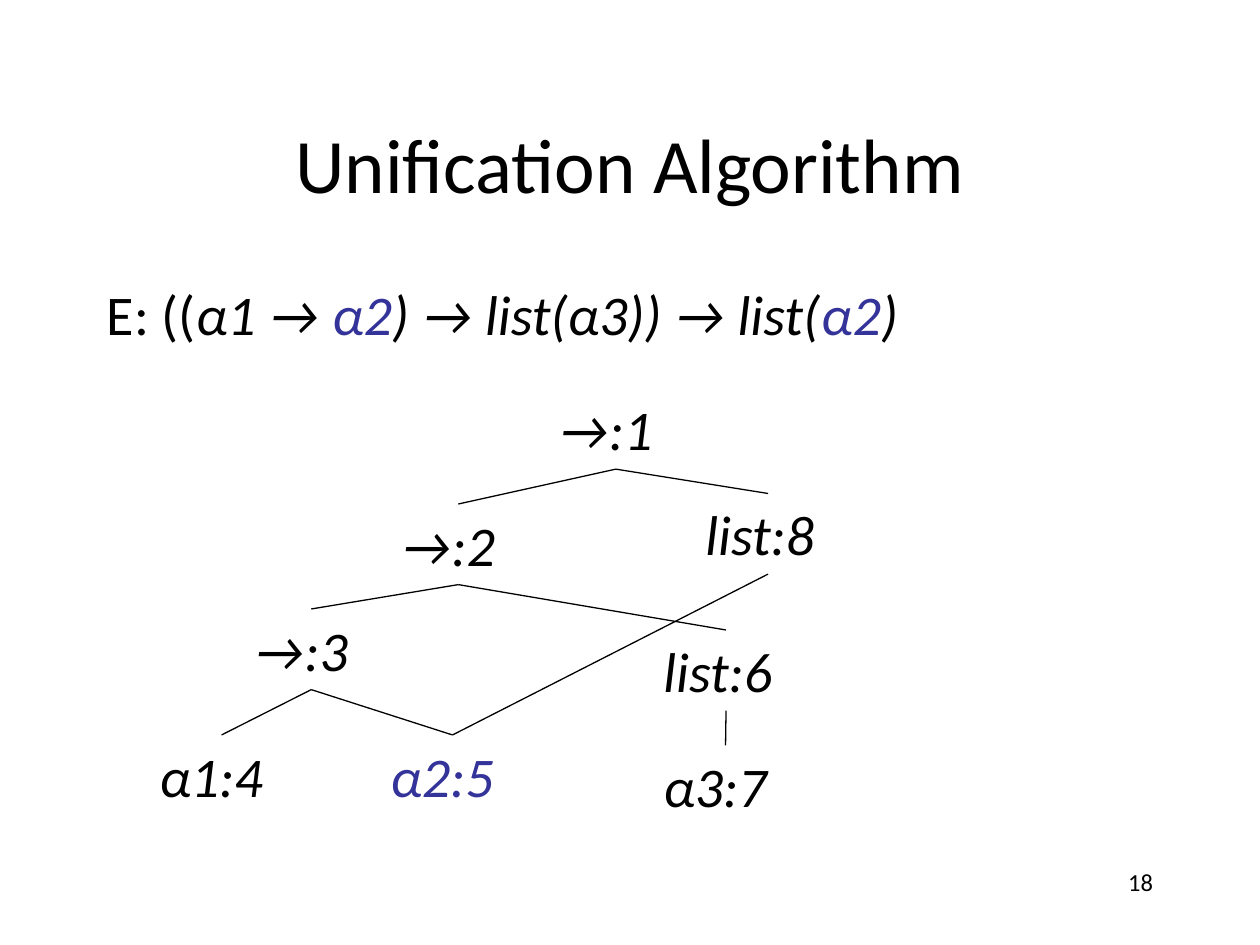
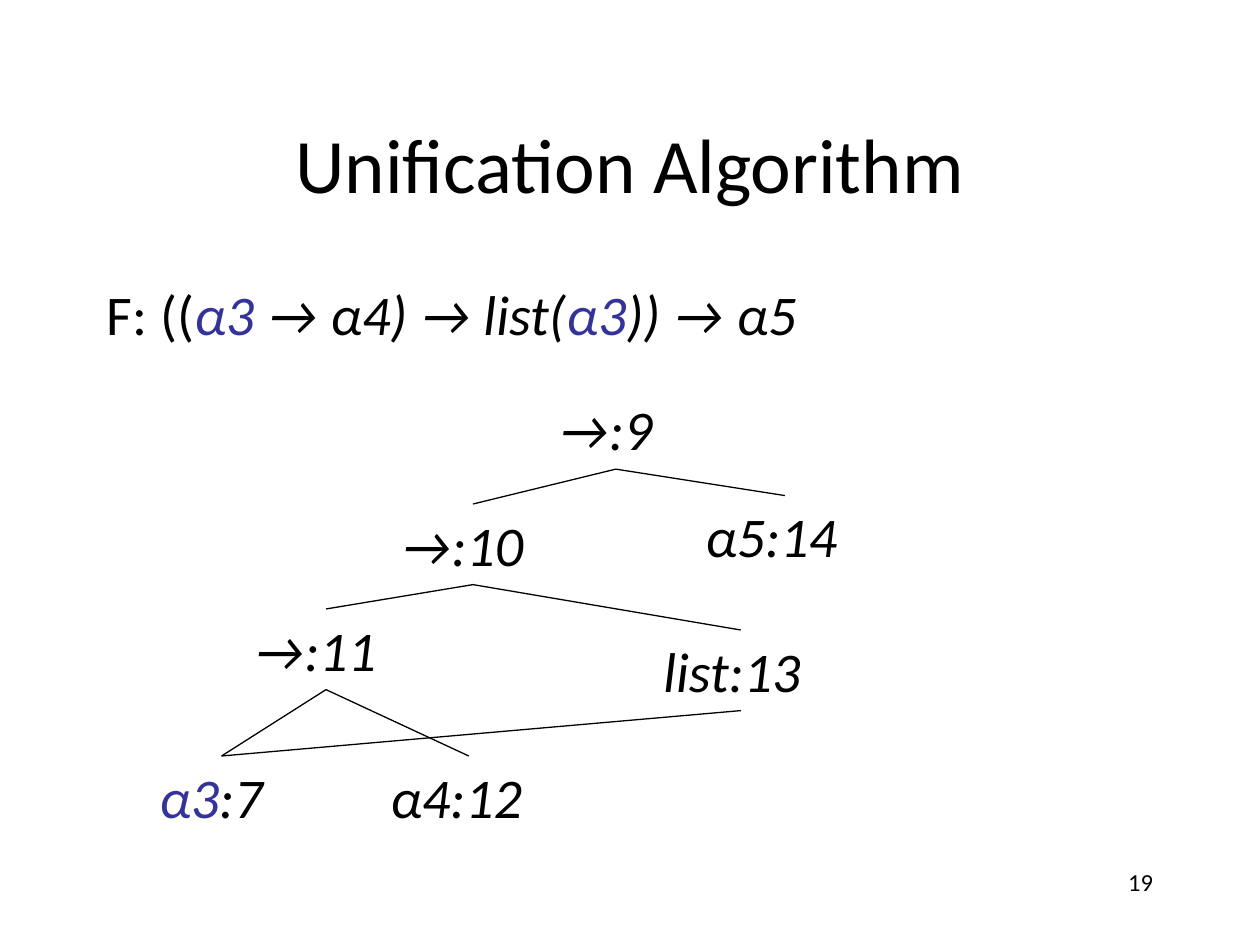
from pptx import Presentation
from pptx.dml.color import RGBColor
from pptx.enum.shapes import MSO_CONNECTOR
from pptx.enum.text import MSO_ANCHOR, MSO_AUTO_SIZE, PP_ALIGN
from pptx.oxml.ns import qn
from pptx.util import Inches, Pt
from lxml import etree

STRAIGHT = MSO_CONNECTOR.STRAIGHT
MIDDLE = MSO_ANCHOR.MIDDLE
GROW = MSO_AUTO_SIZE.SHAPE_TO_FIT_TEXT
CENTER, RIGHT = PP_ALIGN.CENTER, PP_ALIGN.RIGHT
TOP, BOTTOM = 0, 2  # connection sites
TITLE_ONLY = 5

# Shared style: the grid has 120 columns and 90 rows
WIDTH, HEIGHT = Inches(10), Inches(7.5)
COLS, ROWS = 120, 90
FONT, BLACK, BLUE = "Calibri", "000000", "333399"
TITLE_SIZE, TEXT_SIZE, NUMBER_SIZE = 44, 32, 14
TITLE_BOX = (9, 8, 102, 15)
TYPE_BOX = (9, 26, 103, 8)
NUMBER_BOX = (86, 82, 25, 6)
NODE_HEIGHT = 7.68

# Type expressions: runs of (text, colour, italic)
TYPE_E = [("E: ((", BLACK, False), ("α1 → ", BLACK, True), ("α2", BLUE, True),
          (") → list(α3)) → list(", BLACK, True), ("α2", BLUE, True),
          (")", BLACK, True)]
TYPE_F = [("F: ((", BLACK, False), ("α3 ", BLUE, True),
          ("→ α4) → list(", BLACK, True), ("α3", BLUE, True),
          (")) → α5", BLACK, True)]

# Graph nodes: number -> (symbol, column, row, width, symbol colour, number colour)
NODES_E = {
    1: ("→", 52, 37, 13.3, BLACK, BLACK),
    2: ("→", 37, 48, 13.3, BLACK, BLACK),
    8: ("list", 66, 47, 14.3, BLACK, BLACK),
    3: ("→", 23, 58, 13.3, BLACK, BLACK),
    4: ("α1", 14, 70, 14.2, BLACK, BLACK),
    5: ("α2", 36, 70, 14.2, BLUE, BLUE),
    7: ("α3", 62, 71, 14.2, BLACK, BLACK),
    6: ("list", 62, 60, 14.3, BLACK, BLACK),
}
EDGES_E = [(1, 2), (1, 8), (2, 3), (2, 6), (3, 4), (3, 5), (8, 5), (6, 7)]

NODES_F = {
    9: ("→", 52, 37, 13.3, BLACK, BLACK),
    10: ("→", 37, 48, 16.1, BLACK, BLACK),
    14: ("α5", 66, 47.2, 17.5, BLACK, BLACK),
    11: ("→", 23, 58, 16.1, BLACK, BLACK),
    7: ("α3", 14, 72, 14.2, BLUE, BLACK),
    12: ("α4", 36, 72, 17.3, BLACK, BLACK),
    13: ("list", 62, 60, 17.1, BLACK, BLACK),
}
EDGES_F = [(9, 10), (9, 14), (10, 11), (10, 13), (11, 7), (11, 12), (13, 7)]


def rgb(color):
    return RGBColor.from_string(color)


def grid(col, row, width, height):
    """Turn grid cells into left, top, width and height."""
    x, y = WIDTH / COLS, HEIGHT / ROWS
    return int(col * x), int(row * y), int(width * x), int(height * y)


def add_runs(p, runs, size):
    for text, color, italic in runs:
        r = p.add_run()
        r.text = text
        formats = {"name": FONT, "size": Pt(size), "italic": italic}
        for name, value in formats.items():
            setattr(r.font, name, value)
        r.font.color.rgb = rgb(color)


def add_text(s, box, runs, size=TEXT_SIZE, wrap=True, align=None):
    sp = s.shapes.add_textbox(*grid(*box))
    sp.text_frame.word_wrap = wrap
    p = sp.text_frame.paragraphs[0]
    p.alignment = align
    add_runs(p, runs, size)
    return sp


def set_title(s, text):
    sp = s.shapes.title
    sp.left, sp.top, sp.width, sp.height = grid(*TITLE_BOX)
    tf = sp.text_frame
    tf.vertical_anchor = MIDDLE
    p = tf.paragraphs[0]
    p.alignment = CENTER
    add_runs(p, [(text, BLACK, False)], TITLE_SIZE)


def add_type(s, runs):
    p = add_text(s, TYPE_BOX, runs).text_frame.paragraphs[0]
    p.space_before = Pt(0.2 * TEXT_SIZE)
    pPr = p._p.get_or_add_pPr()
    indent = Inches(0.38)
    pPr.set("marL", str(indent))
    pPr.set("indent", str(-indent))


def add_node(s, number, symbol, col, row, width, symbol_color, number_color):
    runs = [(symbol, symbol_color, True), (f":{number}", number_color, True)]
    sp = add_text(s, (col, row, width, NODE_HEIGHT), runs, wrap=False)
    sp.text_frame.auto_size = GROW
    return sp


def add_edge(s, parent, child):
    line = s.shapes.add_connector(STRAIGHT, 0, 0, 0, 0)
    line.begin_connect(parent, BOTTOM)
    line.end_connect(child, TOP)
    line.line.color.rgb = rgb(BLACK)
    line.line.width = Pt(0.75)
    etree.SubElement(line._element.spPr, qn("a:effectLst"))


def add_graph_slide(prs, number, type_runs, nodes, edges):
    s = prs.slides.add_slide(prs.slide_layouts[TITLE_ONLY])
    set_title(s, "Unification Algorithm")
    add_type(s, type_runs)
    # Graph
    shapes = {n: add_node(s, n, *node) for n, node in nodes.items()}
    for parent, child in edges:
        add_edge(s, shapes[parent], shapes[child])
    # Slide number
    add_text(s, NUMBER_BOX, [(str(number), BLACK, False)], NUMBER_SIZE, align=RIGHT)


def main():
    prs = Presentation()
    prs.slide_width, prs.slide_height = WIDTH, HEIGHT
    add_graph_slide(prs, 18, TYPE_E, NODES_E, EDGES_E)
    add_graph_slide(prs, 19, TYPE_F, NODES_F, EDGES_F)
    prs.save("out.pptx")


if __name__ == "__main__":
    main()
